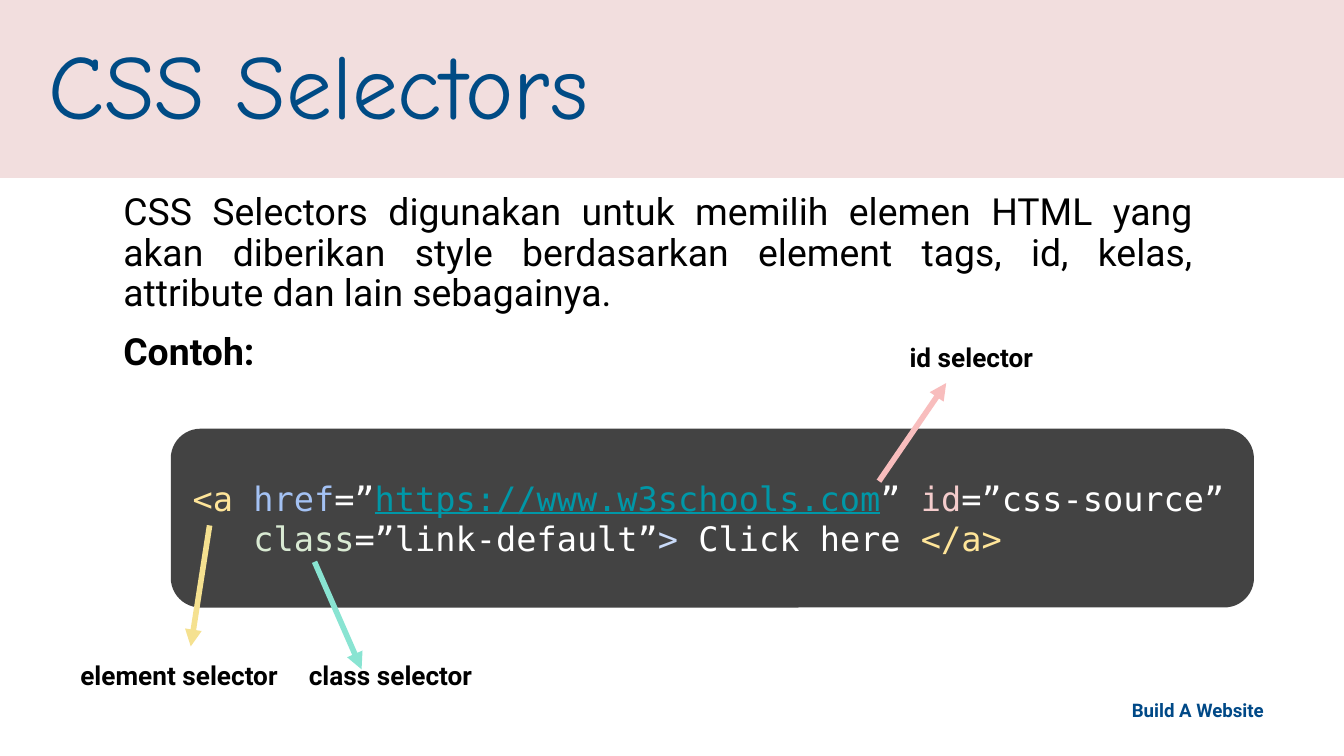
from lxml.etree import SubElement
from pptx import Presentation
from pptx.dml.color import RGBColor
from pptx.enum.shapes import MSO_CONNECTOR, MSO_SHAPE
from pptx.enum.text import MSO_ANCHOR, PP_ALIGN
from pptx.oxml.ns import qn
from pptx.util import Pt

BLACK = RGBColor(0x00, 0x00, 0x00)
WHITE = RGBColor(0xFF, 0xFF, 0xFF)
BLUE = RGBColor(0x00, 0x49, 0x87)
TITLE_BLUE = RGBColor(0x00, 0x4B, 0x85)
BAND = RGBColor(0xF2, 0xDE, 0xDE)
PANEL = RGBColor(0x43, 0x43, 0x43)
TAG = RGBColor(0xFF, 0xE5, 0x99)
HREF = RGBColor(0xA4, 0xC2, 0xF4)
LINK = RGBColor(0x00, 0x97, 0xA7)
ID = RGBColor(0xF4, 0xCC, 0xCC)
CLASS = RGBColor(0xD9, 0xEA, 0xD3)
BRACKET = RGBColor(0xC9, 0xDA, 0xF8)
PINK = RGBColor(0xF8, 0xBD, 0xBD)
MINT = RGBColor(0x89, 0xE4, 0xD2)
YELLOW = RGBColor(0xF5, 0xE1, 0x90)

INSET = Pt(7.2)
CODE = [
    [("<a ", TAG), ("href", HREF), ("=”", WHITE),
     ("https://www.w3schools.com", LINK), ("” ", WHITE), ("id", ID),
     ("=”css-source”", WHITE)],
    [("   ", WHITE), ("class", CLASS), ("=”link-default”", WHITE),
     (">", BRACKET), (" Click here ", WHITE), ("</a>", TAG)],
]


def set_frame(tf, anchor=MSO_ANCHOR.TOP):
    tf.word_wrap = True
    tf.vertical_anchor = anchor
    tf.margin_left = tf.margin_right = INSET
    tf.margin_top = tf.margin_bottom = INSET


def style(p, size, color, name="Roboto", bold=False, align=PP_ALIGN.LEFT):
    p.alignment = align
    p.font.name = name
    p.font.size = Pt(size)
    p.font.bold = bold
    if color is not None:
        p.font.color.rgb = color


def add_box(s, x, y, w, h):
    tf = s.shapes.add_textbox(Pt(x), Pt(y), Pt(w), Pt(h)).text_frame
    set_frame(tf)
    return tf


def add_label(s, text, x, y, w, h, size=14, color=BLACK, align=PP_ALIGN.LEFT):
    p = add_box(s, x, y, w, h).paragraphs[0]
    p.text = text
    style(p, size, color, bold=True, align=align)


def add_panel(s, kind, x, y, w, h, color):
    sp = s.shapes.add_shape(kind, Pt(x), Pt(y), Pt(w), Pt(h))
    sp.shadow.inherit = False
    sp.fill.solid()
    sp.fill.fore_color.rgb = color
    sp.line.fill.background()
    return sp


def add_arrow(s, x1, y1, x2, y2, color):
    line = s.shapes.add_connector(
        MSO_CONNECTOR.STRAIGHT, Pt(x1), Pt(y1), Pt(x2), Pt(y2))
    line.line.color.rgb = color
    line.line.width = Pt(3)
    SubElement(line.line._get_or_add_ln(), qn("a:tailEnd"), type="triangle")
    SubElement(line._element.spPr, qn("a:effectLst"))


def add_body(s):
    tf = add_box(s, 59, 96.5, 587.5, 250)
    intro = tf.paragraphs[0]
    intro.text = ("CSS Selectors digunakan untuk memilih elemen HTML yang akan "
                  "diberikan style berdasarkan element tags, id, kelas, "
                  "attribute dan lain sebagainya.")
    example = tf.add_paragraph()
    example.text = "Contoh:"
    example.space_before = Pt(10)
    for p in (intro, example):
        style(p, 20, BLACK, bold=p is example, align=PP_ALIGN.JUSTIFY)
        p.line_spacing = 0.9


def add_code(s):
    sp = add_panel(s, MSO_SHAPE.FLOWCHART_ALTERNATE_PROCESS,
                   91.5, 229.7, 580.3, 95.8, PANEL)
    tf = sp.text_frame
    set_frame(tf, MSO_ANCHOR.MIDDLE)
    for i, parts in enumerate(CODE):
        p = tf.add_paragraph() if i else tf.paragraphs[0]
        style(p, 18, None, "DejaVu Sans Mono")
        for text, color in parts:
            r = p.add_run()
            r.text = text
            r.font.color.rgb = color
            if color == LINK:
                r.font.underline = True


def add_title(s):
    band = add_panel(s, MSO_SHAPE.RECTANGLE, 0, -0.5, 720, 95.8, BAND)
    band.line.color.rgb = BAND
    band.line.width = Pt(0.75)
    title = s.shapes.title
    title.left, title.top = Pt(18.7), Pt(33.1)
    title.width, title.height = Pt(404.6), Pt(30.2)
    set_frame(title.text_frame, MSO_ANCHOR.MIDDLE)
    p = title.text_frame.paragraphs[0]
    p.text = "CSS Selectors"
    style(p, 49, TITLE_BLUE, "Comic Neue")
    p.line_spacing = 0.9
    # Bring the title in front of its band
    band._element.addnext(title._element)


def main():
    prs = Presentation()
    prs.slide_width, prs.slide_height = Pt(720), Pt(405)
    s = prs.slides.add_slide(prs.slide_layouts[5])

    # Footer, explanation and code sample
    add_label(s, "Build A Website", 522, 368.6, 162, 26.6, 10, BLUE,
              PP_ALIGN.RIGHT)
    add_body(s)
    add_code(s)

    # Arrows from the code to the selector names
    add_arrow(s, 470.9, 257.8, 506.9, 205.2, PINK)
    add_arrow(s, 168.5, 301, 193.7, 358.6, MINT)
    add_arrow(s, 112.3, 281.5, 102.2, 346.3, YELLOW)
    for text, x, y, w in (("id selector", 480.2, 175.7, 108),
                          ("element selector", 36, 346.3, 131.8),
                          ("class selector", 158.4, 346.3, 124.6)):
        add_label(s, text, x, y, w, 30.2)

    # Heading
    add_title(s)
    prs.save("out.pptx")


if __name__ == "__main__":
    main()
